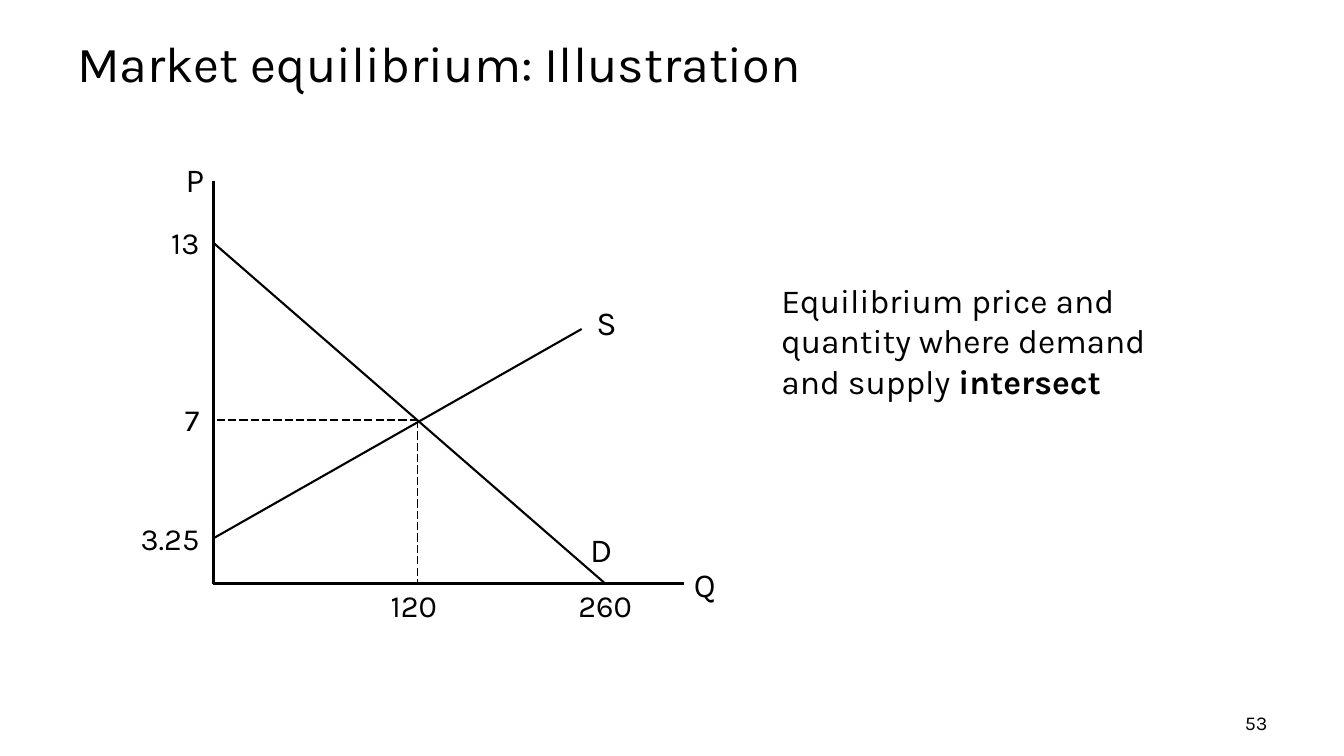
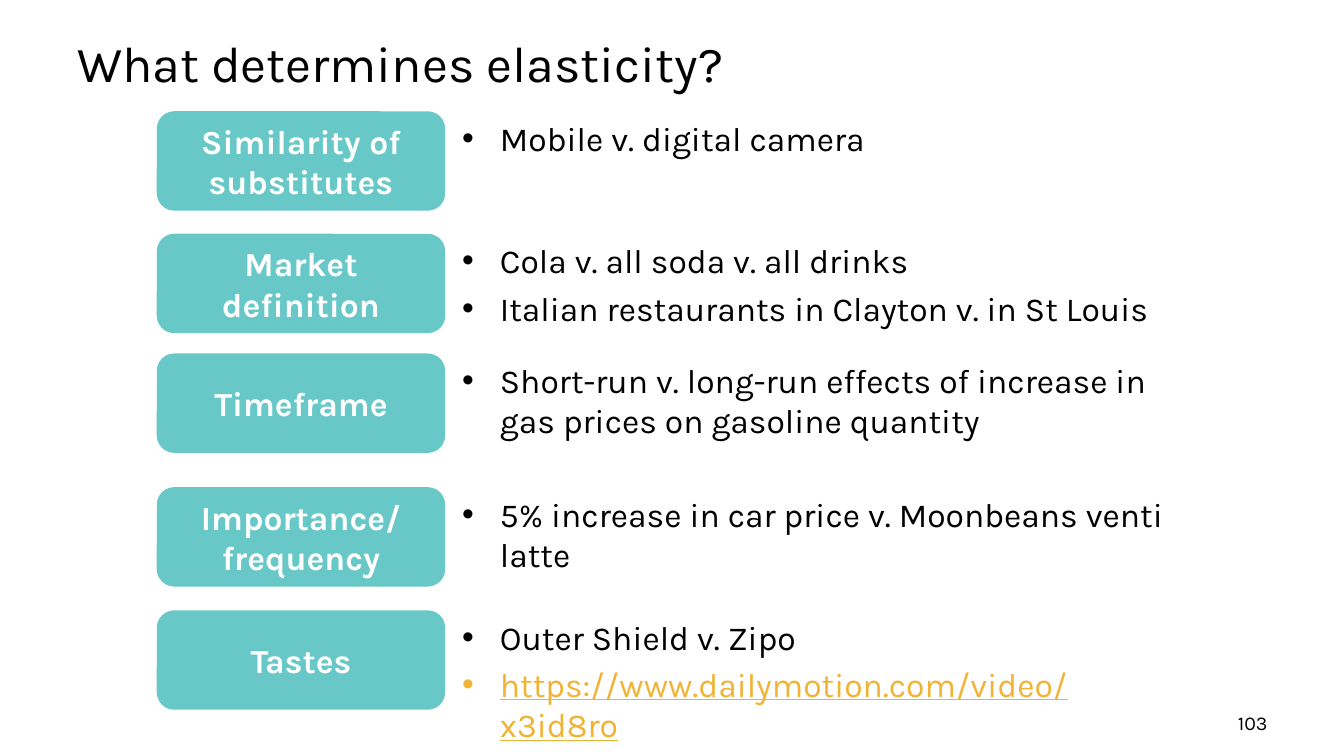
from lxml.etree import SubElement
from pptx import Presentation
from pptx.dml.color import RGBColor
from pptx.enum.dml import MSO_LINE
from pptx.enum.shapes import MSO_CONNECTOR, MSO_SHAPE
from pptx.enum.text import MSO_ANCHOR, PP_ALIGN
from pptx.oxml.ns import qn
from pptx.util import Pt

FONT = "Karla"
BLACK, WHITE, TEAL, GOLD = "000000", "FFFFFF", "67C8C7", "F1B334"
PAGE_WIDTH, PAGE_HEIGHT = 960, 540
TITLE_BOX = (48, 18.7, 864, 51)
NUMBER_BOX = (688.5, 504, 224, 24.5)


def color(hex_code):
    return RGBColor.from_string(hex_code)


def style(para, size, hex_code=BLACK, align=PP_ALIGN.LEFT, bold=False):
    para.alignment = align
    para.font.name = FONT
    para.font.size = Pt(size)
    para.font.bold = bold
    para.font.color.rgb = color(hex_code)


def add_frame(page, box, anchor=MSO_ANCHOR.TOP):
    frame = page.shapes.add_textbox(*map(Pt, box)).text_frame
    frame.word_wrap = True
    frame.vertical_anchor = anchor
    return frame


def add_text(page, box, text, size, align=PP_ALIGN.LEFT, anchor=MSO_ANCHOR.TOP):
    para = add_frame(page, box, anchor).paragraphs[0]
    para.text = text
    style(para, size, align=align)
    return para


def add_line(page, start, end, weight, dash=None):
    line = page.shapes.add_connector(MSO_CONNECTOR.STRAIGHT, *map(Pt, (*start, *end)))
    line.line.color.rgb = color(BLACK)
    line.line.width = Pt(weight)
    if dash:
        line.line.dash_style = dash
    SubElement(line._element.spPr, qn("a:effectLst"))


def add_page(deck, title, number):
    page = deck.slides.add_slide(deck.slide_layouts[6])
    add_text(page, TITLE_BOX, title, 36, anchor=MSO_ANCHOR.MIDDLE)
    add_text(page, NUMBER_BOX, number, 14, PP_ALIGN.RIGHT)
    return page


# Supply and demand diagram
def add_market_graph(page, box):
    left, top, width, height = box
    bottom = top + height

    def at(across, up):
        return left + across, bottom - up

    # Schematic distances from the origin
    price_levels = {"13": 243.5, "7": 117, "3.25": 32.5}
    quantity_levels = {"120": 146, "260": 280}
    supply_end = (263, 182)
    equilibrium = (quantity_levels["120"], price_levels["7"])

    # Axes
    add_line(page, at(0, height), at(0, 0), 2.25)
    add_line(page, at(0, 0), at(width, 0), 2.25)

    # Curves
    add_line(page, at(0, price_levels["3.25"]), at(*supply_end), 1.5)
    add_line(page, at(0, price_levels["13"]), at(quantity_levels["260"], 0), 1.5)

    # Equilibrium guides
    for foot in ((equilibrium[0], 0), (0, equilibrium[1])):
        add_line(page, at(*equilibrium), at(*foot), 0.75, MSO_LINE.LONG_DASH)

    # Axis values
    for text, up in price_levels.items():
        x, y = at(-62, up)
        add_text(page, (x, y - 17, 59, 34), text, 22, PP_ALIGN.RIGHT)
    for text, across in quantity_levels.items():
        x, y = at(across, 0)
        add_text(page, (x - 26.5, y - 1.5, 68, 34), text, 22)

    # Names of axes and curves, each in a small square box
    names = {
        "P": at(-27, height + 19),
        "Q": at(width, 18),
        "S": at(supply_end[0] + 3.5, supply_end[1] + 23),
        "D": at(quantity_levels["260"] - 18, 43),
    }
    for text, corner in names.items():
        add_text(page, (*corner, 36, 36), text, 24)


def build_equilibrium_page(deck):
    page = add_page(deck, "Market equilibrium: Illustration", "53")
    add_market_graph(page, (152.5, 129, 336, 288))
    note = add_text(page, (551, 196.5, 297.5, 94.5),
                    "Equilibrium price and quantity where demand and supply ", 24)
    span = note.add_run()
    span.text = "intersect"
    span.font.bold = True


# One factor: rounded label with bulleted examples beside it
def add_factor(page, box, label, examples):
    left, top, width, height = box
    label_width, gap, indent = 204, 6, 27

    shape = page.shapes.add_shape(MSO_SHAPE.ROUNDED_RECTANGLE,
                                  *map(Pt, (left, top, label_width, height)))
    shape.shadow.inherit = False
    shape.fill.solid()
    shape.fill.fore_color.rgb = color(TEAL)
    shape.line.color.rgb = color(TEAL)
    shape.line.width = Pt(2)
    shape.text_frame.word_wrap = True
    shape.text_frame.vertical_anchor = MSO_ANCHOR.MIDDLE
    para = shape.text_frame.paragraphs[0]
    para.text = label
    style(para, 24, WHITE, PP_ALIGN.CENTER, bold=True)

    offset = label_width + gap
    frame = add_frame(page, (left + offset, top, width - offset, height))
    for index, example in enumerate(examples):
        para = frame.add_paragraph() if index else frame.paragraphs[0]
        para.text = example
        properties = para._p.get_or_add_pPr()
        properties.set("marL", str(Pt(indent)))
        properties.set("indent", str(-Pt(indent)))
        SubElement(properties, qn("a:buFont"), typeface="Arial")
        SubElement(properties, qn("a:buChar"), char="•")
        if index:
            para.space_before = Pt(5)
        is_address = example.startswith("https")
        style(para, 24, GOLD if is_address else BLACK)
        para.font.underline = is_address


def build_elasticity_page(deck):
    page = add_page(deck, "What determines elasticity?", "103")
    factors = [
        (80.5, "Similarity of substitutes", ["Mobile v. digital camera"]),
        (168, "Market definition",
         ["Cola v. all soda v. all drinks",
          "Italian restaurants in Clayton v. in St Louis"]),
        (253.5, "Timeframe",
         ["Short-run v. long-run effects of increase in gas prices on gasoline quantity"]),
        (349, "Importance/ frequency",
         ["5% increase in car price v. Moonbeans venti latte"]),
        (437, "Tastes",
         ["Outer Shield v. Zipo", "https://www.dailymotion.com/video/x3id8ro"]),
    ]
    for top, label, examples in factors:
        add_factor(page, (113, top, 738, 69), label, examples)


def main():
    deck = Presentation()
    deck.slide_width, deck.slide_height = Pt(PAGE_WIDTH), Pt(PAGE_HEIGHT)
    build_equilibrium_page(deck)
    build_elasticity_page(deck)
    deck.save("out.pptx")


if __name__ == "__main__":
    main()
